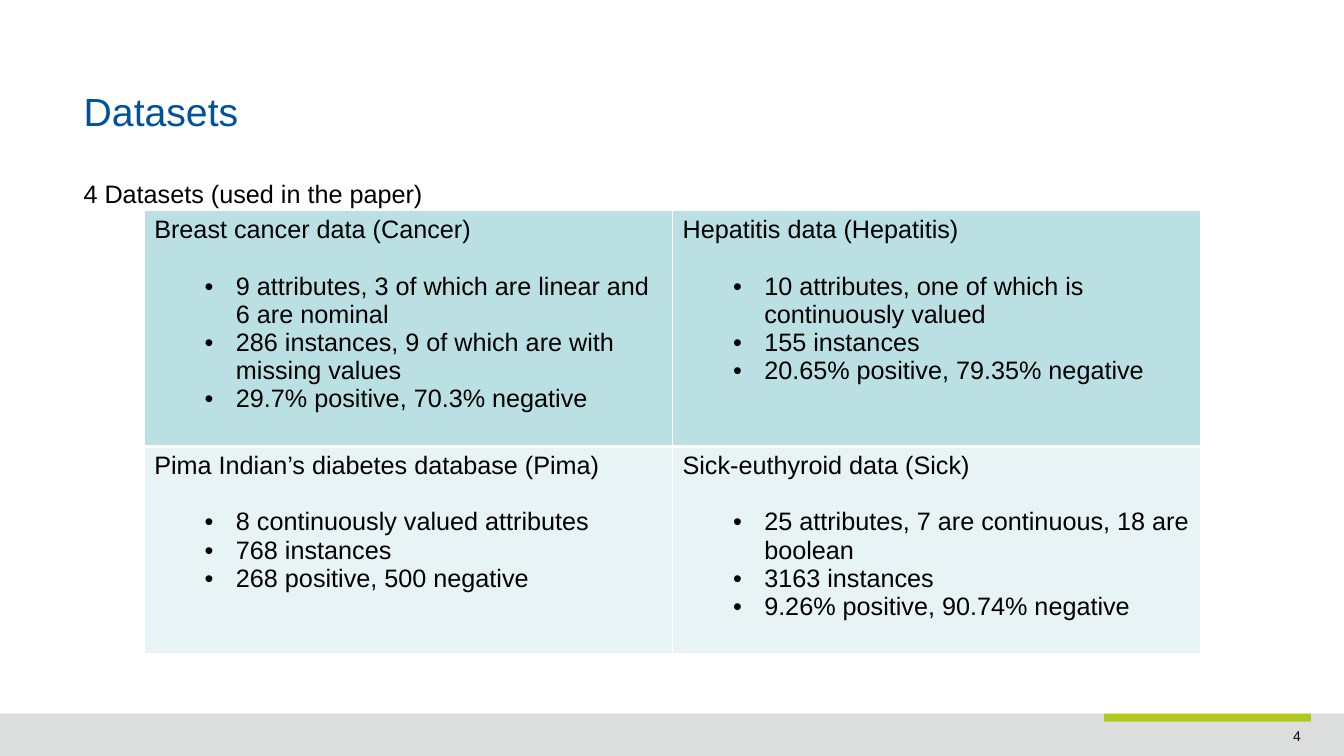
"""Build the Datasets slide with a two-by-two table of dataset facts."""
from lxml.etree import SubElement
from pptx import Presentation
from pptx.dml.color import RGBColor
from pptx.enum.shapes import MSO_SHAPE
from pptx.enum.text import MSO_ANCHOR, PP_ALIGN
from pptx.oxml.ns import qn
from pptx.util import Inches, Pt

COLORS = {"black": "000000", "white": "FFFFFF", "title": "00519E",
          "footer": "DCDEDE", "accent": "B1C91F",
          "row_dark": "BBE0E3", "row_light": "E7F3F4"}

LEFT, RIGHT = 5.48, 97.53
FOOTER_TOP = 94.4
ROWS = [("row_dark", 31.2), ("row_light", 27.33)]

DATASETS = [
    [("Breast cancer data (Cancer)",
      ["9 attributes, 3 of which are linear and 6 are nominal",
       "286 instances, 9 of which are with missing values",
       "29.7% positive, 70.3% negative"]),
     ("Hepatitis data (Hepatitis)",
      ["10 attributes, one of which is continuously valued",
       "155 instances",
       "20.65% positive, 79.35% negative"])],
    [("Pima Indian’s diabetes database (Pima)",
      ["8 continuously valued attributes",
       "768 instances",
       "268 positive, 500 negative"]),
     ("Sick-euthyroid data (Sick)",
      ["25 attributes, 7 are continuous, 18 are boolean",
       "3163 instances",
       "9.26% positive, 90.74% negative"])],
]


def rgb(name):
    return RGBColor.from_string(COLORS[name])


def write(p, text, size=18, color="black", align=PP_ALIGN.LEFT, spacing=1.0,
          after=0, bullet=False):
    p.alignment, p.line_spacing = align, spacing
    p.space_before, p.space_after = Pt(0), Pt(after)
    r = p.add_run()
    r.text = text
    r.font.name, r.font.size, r.font.bold = "Arial", Pt(size), False
    r.font.color.rgb = rgb(color)
    if bullet:
        p.level = 1
        pPr = p._p.get_or_add_pPr()
        pPr.set("marL", str(Inches(0.81)))
        pPr.set("indent", str(Inches(-0.31)))
        SubElement(pPr, qn("a:buFont"), typeface="Arial")
        SubElement(pPr, qn("a:buChar"), char="•")


class Deck:
    def __init__(self, prs):
        self.prs = prs
        self.s = prs.slides.add_slide(prs.slide_layouts[5])

    def box(self, x, y, w, h):
        width, height = self.prs.slide_width, self.prs.slide_height
        return [int(share * side / 100) for share, side in
                zip((x, y, w, h), (width, height, width, height))]

    def title(self, text, area, **fmt):
        sp = self.s.shapes.title
        sp.left, sp.top, sp.width, sp.height = self.box(*area)
        sp.text_frame.vertical_anchor = MSO_ANCHOR.TOP
        write(sp.text_frame.paragraphs[0], text, **fmt)

    def bar(self, area, color):
        sp = self.s.shapes.add_shape(MSO_SHAPE.RECTANGLE, *self.box(*area))
        sp.shadow.inherit = False
        sp.fill.solid()
        sp.fill.fore_color.rgb = rgb(color)
        sp.line.fill.background()

    def text(self, text, area, wrap=True, **fmt):
        tf = self.s.shapes.add_textbox(*self.box(*area)).text_frame
        tf.word_wrap = wrap
        write(tf.paragraphs[0], text, **fmt)

    def border(self, cell, **widths):
        tcPr = cell._tc.get_or_add_tcPr()
        for side in "LRTB":
            ln = SubElement(tcPr, qn("a:ln" + side), w=str(Pt(widths.get(side, 1))))
            fill = SubElement(ln, qn("a:solidFill"))
            SubElement(fill, qn("a:srgbClr"), val=COLORS["white"])

    def cell(self, cell, heading, facts, color, **widths):
        self.border(cell, **widths)
        cell.fill.solid()
        cell.fill.fore_color.rgb = rgb(color)
        tf = cell.text_frame
        write(tf.paragraphs[0], heading, after=20.2)
        for fact in facts:
            write(tf.add_paragraph(), fact, bullet=True)

    def table(self, datasets, x, y, w):
        area = self.box(x, y, w, sum(h for _, h in ROWS))
        table = self.s.shapes.add_table(len(datasets), len(datasets[0]), *area).table
        table.first_row = table.horz_banding = False
        for i, (color, height) in enumerate(ROWS):
            table.rows[i].height = self.box(0, 0, 0, height)[3]
            widths = {"T": 3} if i else {"B": 3}
            for j, (heading, facts) in enumerate(datasets[i]):
                self.cell(table.cell(i, j), heading, facts, color, **widths)


def main():
    prs = Presentation()
    prs.slide_width, prs.slide_height = Inches(13.33), Inches(7.5)
    deck = Deck(prs)
    deck.bar((0, FOOTER_TOP, 100, 100 - FOOTER_TOP), "footer")
    deck.bar((82.15, FOOTER_TOP, RIGHT - 82.15, 1.07), "accent")
    deck.text("4", (77.94, 95.6, RIGHT - 77.94, 4.4), size=10, align=PP_ALIGN.RIGHT)
    deck.title("Datasets", (LEFT, 12.13, RIGHT - LEFT, 12.13),
               size=28, color="title", spacing=0.8)
    deck.table(DATASETS, 10.73, 27.87, 78.62)
    deck.text("4 Datasets (used in the paper)", (LEFT, 20.93, 27, 6.67),
              wrap=False, spacing=1.5)
    prs.save("out.pptx")


if __name__ == "__main__":
    main()
